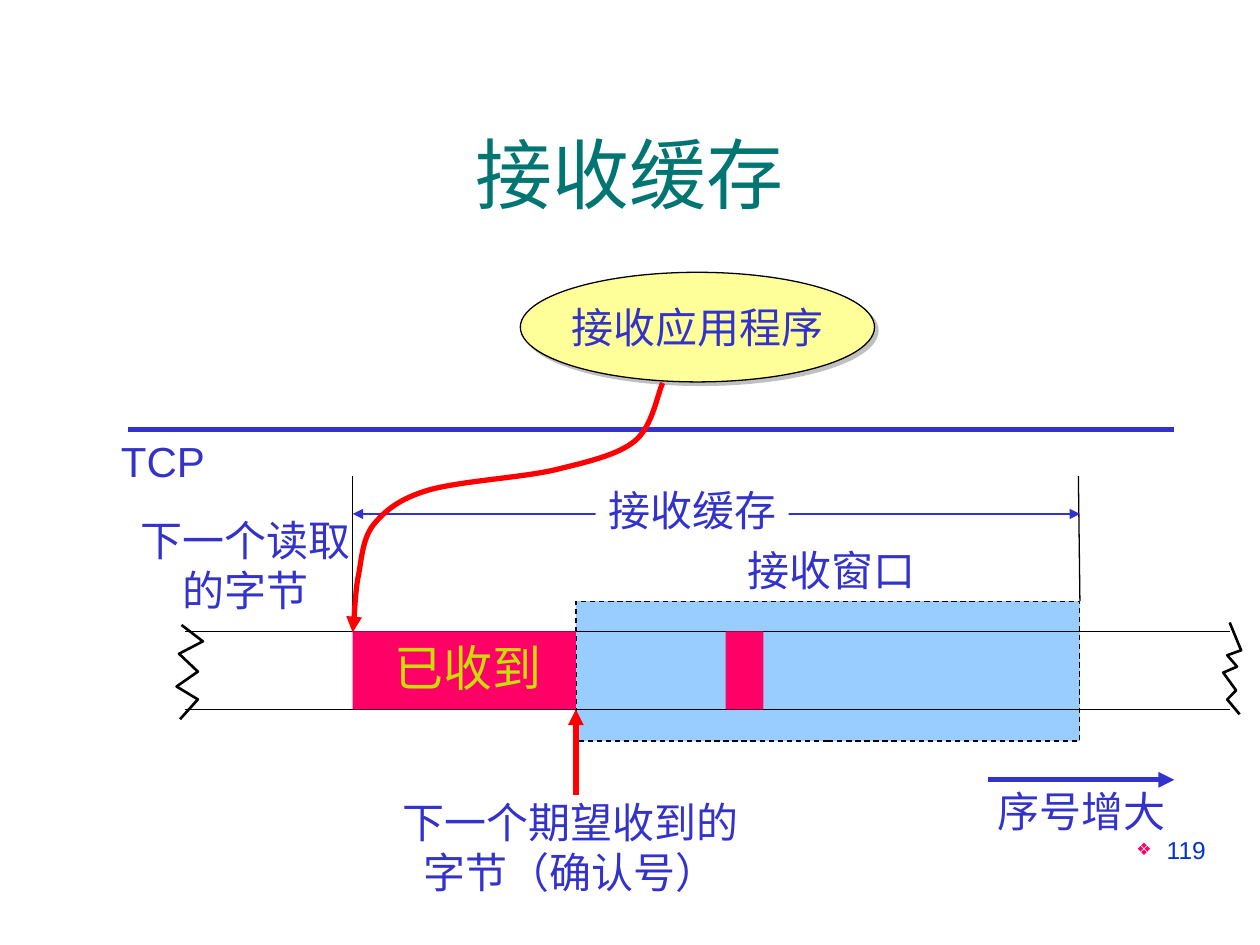
"""Build a slide that shows how the TCP receive buffer and window relate."""
from dataclasses import dataclass

from lxml.etree import SubElement
from pptx import Presentation
from pptx.dml.color import RGBColor
from pptx.enum.dml import MSO_LINE
from pptx.enum.shapes import MSO_CONNECTOR, MSO_SHAPE
from pptx.enum.text import MSO_ANCHOR, PP_ALIGN
from pptx.oxml.ns import qn
from pptx.util import Cm, Pt


@dataclass(frozen=True)
class Theme:
    """Colours, type sizes and line widths."""
    font: str = "Arial"
    title: str = "007572"
    ink: str = "3333CC"
    number: str = "0033CC"
    received: str = "C9DE06"
    block: str = "FF0066"
    window: str = "99CCFF"
    oval: str = "FFFF99"
    black: str = "000000"
    white: str = "FFFFFF"
    red: str = "FF0000"
    shadow: str = "C0C0C0"
    title_size: int = 44
    received_size: int = 28
    label_size: int = 24
    number_size: int = 14
    thin: float = 0.75
    medium: float = 1.5
    thick: float = 3


THEME = Theme()
TAPE_TOP, TAPE_BOTTOM = 12.73, 14.3
BUFFER_LEFT, WINDOW_LEFT, BUFFER_RIGHT = 7.11, 11.61, 21.77
SPAN_Y, BOUND_TOP, WINDOW_TOP = 10.36, 9.6, 12.12

LINES = [
    ((2.59, 8.66), (23.67, 8.66), THEME.ink, THEME.thick, ""),
    ((3.73, TAPE_TOP), (24.79, TAPE_TOP), THEME.black, THEME.thin, ""),
    ((3.73, TAPE_BOTTOM), (24.79, TAPE_BOTTOM), THEME.black, THEME.thin, ""),
    ((BUFFER_LEFT, BOUND_TOP), (BUFFER_LEFT, TAPE_TOP), THEME.black, THEME.thin, ""),
    ((21.74, BOUND_TOP), (BUFFER_RIGHT, WINDOW_TOP), THEME.black, THEME.thin, ""),
    ((BUFFER_LEFT, SPAN_Y), (BUFFER_RIGHT, SPAN_Y), THEME.ink, THEME.thin, "head tail"),
    ((19.91, 15.72), (23.67, 15.72), THEME.ink, THEME.thick, "tail"),
    ((WINDOW_LEFT, 16.03), (WINDOW_LEFT, TAPE_BOTTOM), THEME.red, THEME.thick, "tail"),
]
BLOCKS = [(BUFFER_LEFT, WINDOW_LEFT - BUFFER_LEFT), (14.63, 0.76)]
LABELS = [
    (["接收窗口"], (14.81, 10.85, 3.89, 1.27)),
    (["TCP"], (2.18, 8.66, 2.21, 1.27)),
    (["下一个读取", "的字节"], (2.57, 10.24, 4.75, 2.29)),
    (["序号增大"], (19.86, 15.72, 3.89, 1.27)),
    (["下一个期望收到的", "字节（确认号）"], (7.85, 15.93, 7.29, 2.29)),
]
READ_CURVE = [
    (13.36, 7.72),
    (13.26, 7.92), (13.16, 8.59), (12.8, 8.89),
    (12.45, 9.17), (11.89, 9.3), (11.2, 9.47),
    (10.52, 9.63), (9.27, 9.7), (8.64, 9.88),
    (8.03, 10.06), (7.75, 10.31), (7.52, 10.59),
    (7.29, 10.9), (7.29, 11.33), (7.21, 11.68),
    (7.16, 12.04), (7.14, 12.52), (7.11, 12.75),
]
TORN_EDGES = [
    [(24.79, 12.55), (25.02, 13.11), (24.74, 13.21), (24.94, 13.44),
     (24.66, 13.56), (24.92, 13.92), (24.74, 14.1), (24.99, 14.4)],
    [(3.66, 12.6), (4.09, 12.93), (3.61, 13.18), (3.99, 13.54),
     (3.56, 13.84), (3.99, 14.1), (3.63, 14.5)],
]


def style_line(shape, color, width, arrows=""):
    shape.line.color.rgb = RGBColor.from_string(color)
    shape.line.width = Pt(width)
    outline = shape._element.spPr.find(qn("a:ln"))
    for end in arrows.split():
        SubElement(outline, qn(f"a:{end}End"), type="triangle")


def add_line(slide, start, end, color, width, arrows):
    line = slide.shapes.add_connector(MSO_CONNECTOR.STRAIGHT, *map(Cm, start + end))
    style_line(line, color, width, arrows)
    SubElement(line._element.spPr, qn("a:effectLst"))


def add_block(slide, kind, frame, fill):
    block = slide.shapes.add_shape(kind, *map(Cm, frame))
    block.shadow.inherit = False
    block.fill.solid()
    block.fill.fore_color.rgb = RGBColor.from_string(fill)
    block.line.fill.background()
    return block


def add_outline(slide, points, color, width, arrows="", curved=False):
    start, *rest = [tuple(map(Cm, point)) for point in points]
    builder = slide.shapes.build_freeform(*start)
    builder.add_line_segments(rest, close=False)
    outline = builder.convert_to_shape()
    outline.shadow.inherit = False
    outline.fill.background()
    style_line(outline, color, width, arrows)
    if curved:
        steps = list(outline._element.iter(qn("a:lnTo")))
        for first, second, third in zip(steps[::3], steps[1::3], steps[2::3]):
            for step in (second, third):
                first.append(step[0])
                step.getparent().remove(step)
            first.tag = qn("a:cubicBezTo")


def add_shadow(effects, color):
    shadow = SubElement(effects, qn("a:outerShdw"), dist=str(Pt(2.8)), dir="2700000", algn="ctr")
    SubElement(shadow, qn("a:srgbClr"), val=color)


def write(box, texts, size=THEME.label_size, color=THEME.ink,
          align=PP_ALIGN.CENTER, anchor=MSO_ANCHOR.TOP, wrap=False):
    frame = box.text_frame
    frame.word_wrap = wrap
    frame.vertical_anchor = anchor
    for index, text in enumerate(texts):
        para = frame.add_paragraph() if index else frame.paragraphs[0]
        para.alignment = align
        span = para.add_run()
        span.text = text
        span.font.name = THEME.font
        span.font.size = Pt(size)
        span.font.color.rgb = RGBColor.from_string(color)
    return frame.paragraphs[0]


def add_text(slide, texts, frame, **style):
    return write(slide.shapes.add_textbox(*map(Cm, frame)), texts, **style)


def add_bullet(para, symbol, color):
    properties = para._p.get_or_add_pPr()
    properties.set("marL", str(Cm(0.61)))
    properties.set("indent", str(-Cm(0.61)))
    SubElement(SubElement(properties, qn("a:buClr")), qn("a:srgbClr"), val=color)
    SubElement(properties, qn("a:buSzPct"), val="70000")
    SubElement(properties, qn("a:buFont"), typeface=THEME.font)
    SubElement(properties, qn("a:buChar"), char=symbol)


def main():
    deck = Presentation()
    deck.slide_width, deck.slide_height = Cm(25.4), Cm(19.05)
    slide = deck.slides.add_slide(deck.slide_layouts[6])

    add_text(slide, ["接收缓存"], (0.84, 1.9, 23.72, 3.18), size=THEME.title_size,
             color=THEME.title, anchor=MSO_ANCHOR.MIDDLE, wrap=True)
    number = add_text(slide, ["119"], (18.21, 16.71, 6.35, 1.32), size=THEME.number_size,
                      color=THEME.number, align=PP_ALIGN.RIGHT, wrap=True)
    add_bullet(number, "❖", THEME.block)

    window = add_block(slide, MSO_SHAPE.RECTANGLE,
                       (WINDOW_LEFT, WINDOW_TOP, BUFFER_RIGHT - WINDOW_LEFT, 2.82), THEME.window)
    style_line(window, THEME.black, THEME.thin)
    window.line.dash_style = MSO_LINE.DASH

    oval = add_block(slide, MSO_SHAPE.OVAL, (10.49, 5.49, 7.14, 2.21), THEME.oval)
    style_line(oval, THEME.black, THEME.thin)
    add_shadow(oval._element.spPr.find(qn("a:effectLst")), THEME.shadow)
    write(oval, ["接收应用程序"], anchor=MSO_ANCHOR.MIDDLE)

    for line in LINES:
        add_line(slide, *line)
    for left, width in BLOCKS:
        add_block(slide, MSO_SHAPE.RECTANGLE,
                  (left, TAPE_TOP, width, TAPE_BOTTOM - TAPE_TOP), THEME.block)

    received = add_text(slide, ["已收到"], (7.7, TAPE_TOP, 3.48, 1.45),
                        size=THEME.received_size, color=THEME.received)
    fill = received.runs[0]._r.rPr.find(qn("a:solidFill"))
    effects = SubElement(fill.getparent(), qn("a:effectLst"))
    fill.addnext(effects)
    add_shadow(effects, THEME.shadow)

    span_label = add_block(slide, MSO_SHAPE.RECTANGLE, (12.01, 9.65, 3.89, 1.27), THEME.white)
    write(span_label, ["接收缓存"])
    for texts, frame in LABELS:
        add_text(slide, texts, frame)

    add_outline(slide, READ_CURVE, THEME.red, THEME.thick, "tail", curved=True)
    for edge in TORN_EDGES:
        add_outline(slide, edge, THEME.black, THEME.medium)
    deck.save("out.pptx")


if __name__ == "__main__":
    main()
